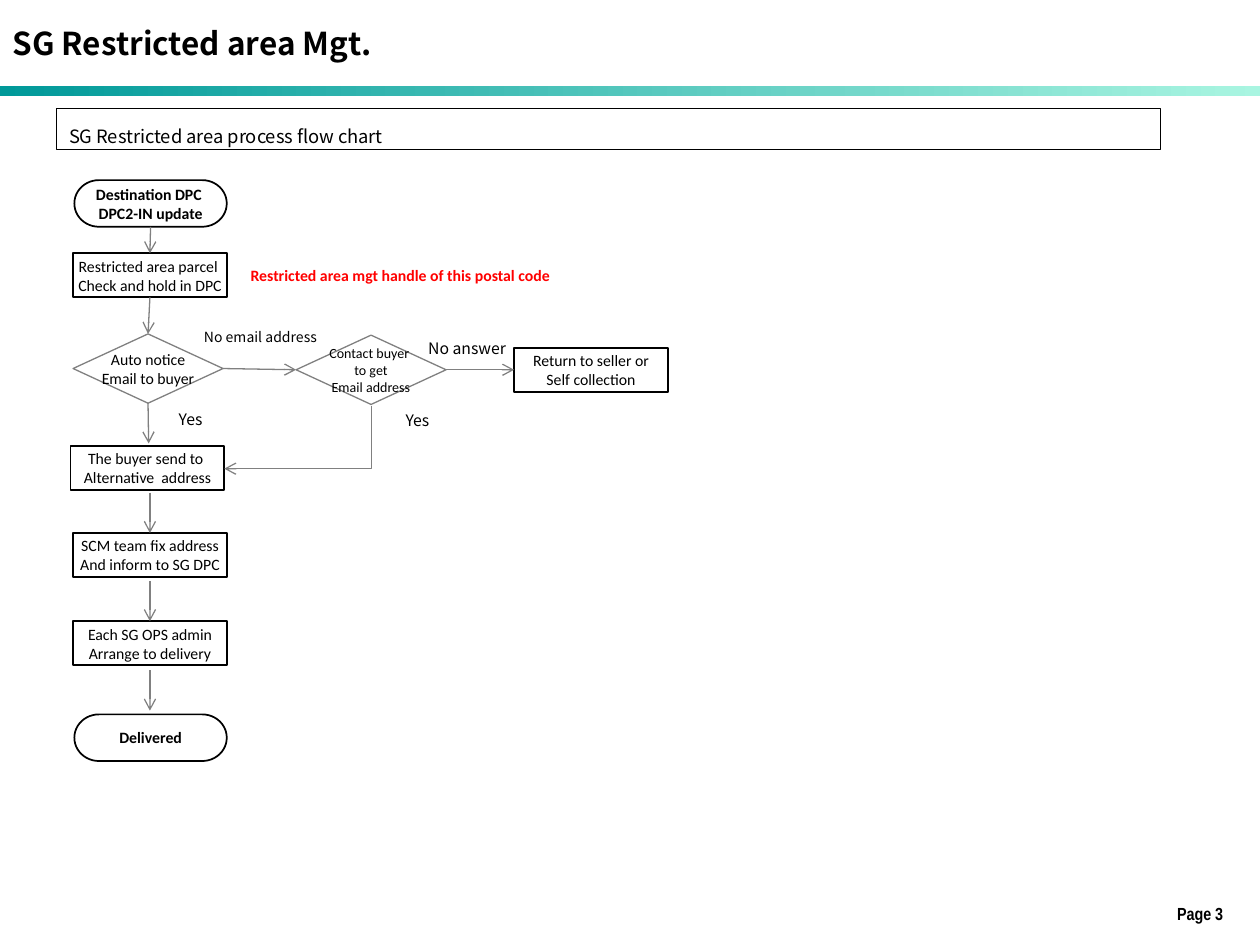
from typing import NamedTuple

from lxml import etree
from pptx import Presentation
from pptx.dml.color import RGBColor
from pptx.enum.shapes import MSO_CONNECTOR, MSO_SHAPE
from pptx.enum.text import MSO_ANCHOR, PP_ALIGN
from pptx.oxml.ns import qn
from pptx.util import Emu, Inches, Pt

STRAIGHT, ELBOW = MSO_CONNECTOR.STRAIGHT, MSO_CONNECTOR.ELBOW
RECTANGLE = MSO_SHAPE.RECTANGLE
TERMINATOR = MSO_SHAPE.FLOWCHART_TERMINATOR
PROCESS = MSO_SHAPE.FLOWCHART_PROCESS
DECISION = MSO_SHAPE.FLOWCHART_DECISION
TOP, MIDDLE = MSO_ANCHOR.TOP, MSO_ANCHOR.MIDDLE
LEFT, CENTER = PP_ALIGN.LEFT, PP_ALIGN.CENTER
TOP_SIDE, LEFT_SIDE, BOTTOM_SIDE, RIGHT_SIDE = range(4)

COLUMNS, ROWS = 100, 75
CELL = Inches(0.1)
COLORS = {
    "black": "000000", "white": "FFFFFF", "gray": "808080", "red": "FF0000",
    "teal": "009999", "mint": "A9F5E1",
}
SANS, BODY, NARROW = "Noto Sans CJK KR", "Calibri", "Arial Narrow"


class Style(NamedTuple):
    font: str
    size: float
    bold: bool = False
    color: str = "black"
    align: PP_ALIGN = LEFT
    anchor: MSO_ANCHOR = TOP
    wrap: bool = False


class Kind(NamedTuple):
    shape: MSO_SHAPE
    columns: float
    rows: float
    line: str
    weight: float
    bold: bool = False


class Node(NamedTuple):
    name: str
    kind: Kind
    column: float
    row: float
    text: str
    size: float = 9


class Label(NamedTuple):
    text: str
    column: float
    row: float
    columns: float
    rows: float
    style: Style


class Side(NamedTuple):
    node: str
    site: int


class Point(NamedTuple):
    column: float
    row: float


class Link(NamedTuple):
    start: Side | Point
    end: Side | Point


END = Kind(TERMINATOR, 12.1, 3.7, "black", 1, bold=True)
STEP = Kind(PROCESS, 12.2, 3.5, "black", 1)
CHOICE = Kind(DECISION, 11.9, 5.5, "gray", 0.75)

NODES = [
    Node("update", END, 5.9, 14.3, "Destination DPC \nDPC2-IN update"),
    Node("hold", STEP, 5.8, 20.1, "Restricted area parcel \nCheck and hold in DPC"),
    Node("notice", CHOICE, 5.8, 26.5, "Auto notice\nEmail to buyer"),
    Node("contact", CHOICE, 23.5, 26.6, "Contact buyer \nto get\nEmail address", 8),
    Node("return", STEP, 40.8, 27.6, "Return to seller or\nSelf collection"),
    Node("reply", STEP, 5.6, 35.4, "The buyer send to \nAlternative  address"),
    Node("fix", STEP, 5.8, 42.3, "SCM team fix address\nAnd inform to SG DPC"),
    Node("arrange", STEP, 5.8, 49.3, "Each SG OPS admin\nArrange to delivery"),
    Node("delivered", END, 5.9, 56.7, "Delivered"),
]

SPINE = 11.9
LINKS = [
    Link(Side("update", BOTTOM_SIDE), Side("hold", TOP_SIDE)),
    Link(Side("hold", BOTTOM_SIDE), Side("notice", TOP_SIDE)),
    Link(Side("notice", BOTTOM_SIDE), Point(11.8, 35.2)),
    Link(Point(SPINE, 39.1), Side("fix", TOP_SIDE)),
    Link(Point(SPINE, 46.1), Side("arrange", TOP_SIDE)),
    Link(Point(SPINE, 53.2), Point(SPINE, 56.4)),
    Link(Side("notice", RIGHT_SIDE), Side("contact", LEFT_SIDE)),
    Link(Side("contact", RIGHT_SIDE), Side("return", LEFT_SIDE)),
]

TITLE = Style(SANS, 18, bold=True, anchor=MIDDLE, wrap=True)
PAGE_NUMBER = Style(NARROW, 10, bold=True, align=CENTER, anchor=MIDDLE)
NOTE = Style(BODY, 9, bold=True, color="red")
ANSWER = Style(SANS, 9)
LABELS = [
    Label("SG Restricted area Mgt.", 0, 0, 83.9, 6.8, TITLE),
    Label("Page 3", 91.1, 71.5, 8.3, 2, PAGE_NUMBER),
    Label("Restricted area mgt handle of this postal code", 18.9, 20.6, 26.2, 2.5, NOTE),
    Label("No email address", 15.2, 25.6, 11.2, 2.4, Style(SANS, 8)),
    Label("No answer", 33, 26.4, 8.3, 2.5, ANSWER),
    Label("Yes", 13.2, 32, 4.2, 2.5, ANSWER),
    Label("Yes", 31.2, 32.1, 4.2, 2.5, ANSWER),
]


def cells(*counts: float) -> list[Emu]:
    """Turn counts of grid cells into lengths."""
    return [Emu(round(count * CELL)) for count in counts]


def color(name: str) -> RGBColor:
    return RGBColor.from_string(COLORS[name])


def write(shape, text: str, style: Style) -> None:
    frame = shape.text_frame
    frame.text = text
    frame.word_wrap = style.wrap
    frame.vertical_anchor = style.anchor
    for para in frame.paragraphs:
        para.alignment = style.align
        for span in para.runs:
            span.font.name = style.font
            span.font.size = Pt(style.size)
            span.font.bold = style.bold
            span.font.color.rgb = color(style.color)


def draw_label(page, label: Label) -> None:
    box = page.shapes.add_textbox(
        *cells(label.column, label.row, label.columns, label.rows))
    write(box, label.text, label.style)


def draw_bar(page) -> None:
    bar = page.shapes.add_shape(RECTANGLE, *cells(0, 6.8, COLUMNS, 0.8))
    bar.shadow.inherit = False
    bar.line.fill.background()
    bar.fill.gradient()
    bar.fill.gradient_angle = 0
    for stop, name in zip(bar.fill.gradient_stops, ("teal", "mint")):
        stop.color.rgb = color(name)


def draw_heading(page) -> None:
    box = page.shapes.add_shape(RECTANGLE, *cells(4.5, 8.6, 87.6, 3.3))
    box.shadow.inherit = False
    box.fill.solid()
    box.fill.fore_color.rgb = color("white")
    box.line.color.rgb = color("black")
    box.line.width = Pt(0.75)
    write(box, "SG Restricted area process flow chart", Style(SANS, 10.5, wrap=True))
    box.text_frame.paragraphs[0].line_spacing = 1.5


def draw_node(page, node: Node):
    kind = node.kind
    shape = page.shapes.add_shape(
        kind.shape, *cells(node.column, node.row, kind.columns, kind.rows))
    shape.shadow.inherit = False
    shape.fill.background()
    shape.line.color.rgb = color(kind.line)
    shape.line.width = Pt(kind.weight)
    write(shape, node.text,
          Style(BODY, node.size, kind.bold, align=CENTER, anchor=MIDDLE))
    return shape


def style_arrow(arrow) -> None:
    arrow.line.color.rgb = color("gray")
    arrow.line.width = Pt(0.75)
    etree.SubElement(arrow.line._get_or_add_ln(), qn("a:tailEnd"), type="arrow")
    etree.SubElement(arrow._element.spPr, qn("a:effectLst"))


def draw_link(page, link: Link, shapes: dict) -> None:
    points = [end if isinstance(end, Point) else Point(0, 0) for end in link]
    arrow = page.shapes.add_connector(STRAIGHT, *cells(*points[0], *points[1]))
    for end, connect in zip(link, (arrow.begin_connect, arrow.end_connect)):
        if isinstance(end, Side):
            connect(shapes[end.node], end.site)
    style_arrow(arrow)


def draw_corner(page, start: Point, end: Point) -> None:
    """Draw an arrow that runs down from start, then left to end."""
    across, down = start.column - end.column, end.row - start.row
    left = (start.column + end.column - down) / 2
    top = (start.row + end.row - across) / 2
    arrow = page.shapes.add_connector(
        ELBOW, *cells(left, top, left + down, top + across))
    properties = arrow._element.spPr
    properties.find(qn("a:xfrm")).set("rot", str(90 * 60000))
    properties.find(qn("a:prstGeom")).set("prst", "bentConnector2")
    style_arrow(arrow)


def main() -> None:
    deck = Presentation()
    deck.slide_width, deck.slide_height = cells(COLUMNS, ROWS)
    page = deck.slides.add_slide(deck.slide_layouts[6])
    draw_bar(page)
    draw_heading(page)
    shapes = {node.name: draw_node(page, node) for node in NODES}
    for link in LINKS:
        draw_link(page, link, shapes)
    draw_corner(page, Point(29.5, 32.2), Point(17.8, 37.2))
    for label in LABELS:
        draw_label(page, label)
    deck.save("out.pptx")


if __name__ == "__main__":
    main()
